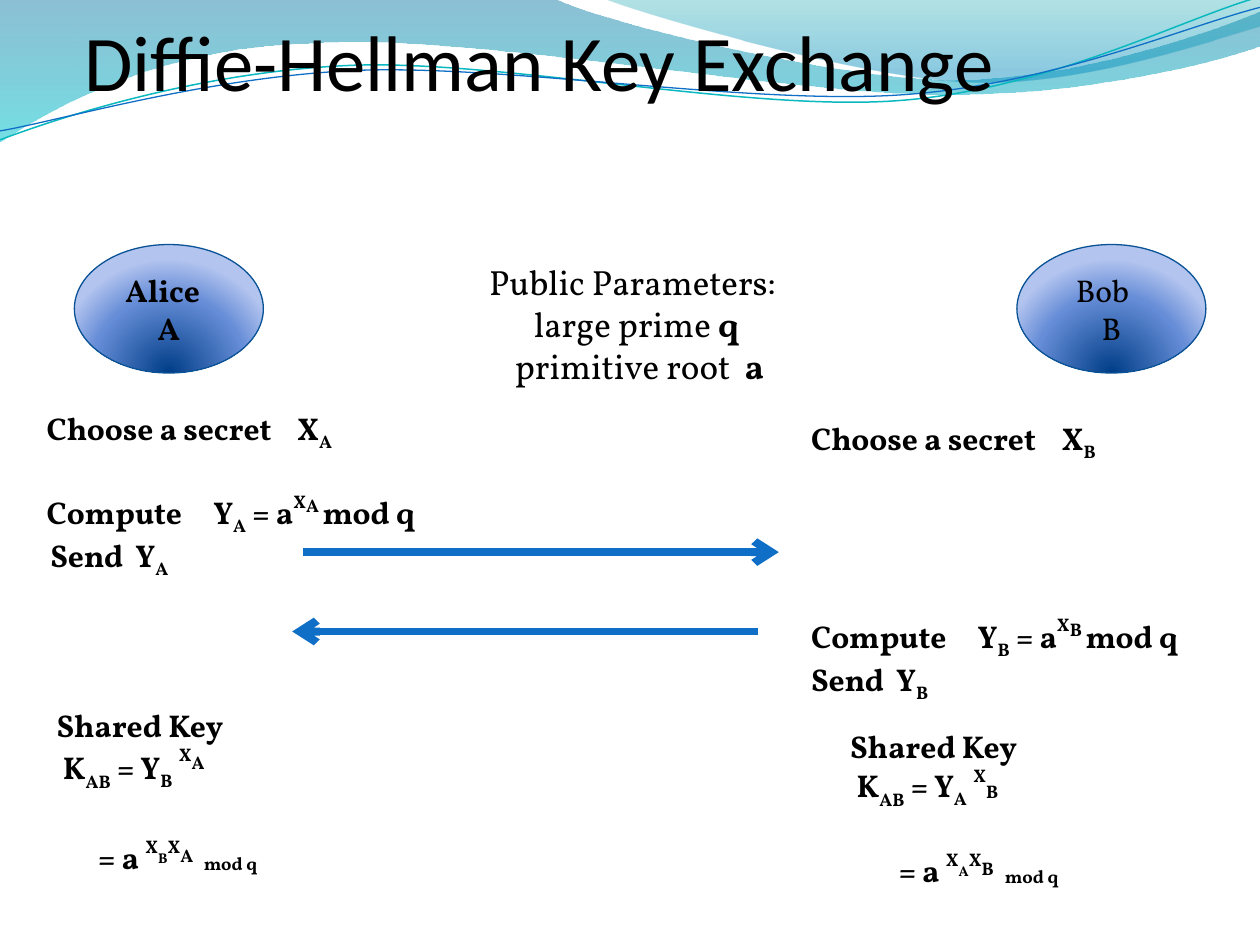
from lxml import etree
from pptx import Presentation
from pptx.dml.color import RGBColor
from pptx.enum.shapes import MSO_CONNECTOR, MSO_SHAPE
from pptx.enum.text import MSO_ANCHOR, MSO_AUTO_SIZE, PP_ALIGN
from pptx.oxml import parse_xml
from pptx.oxml.ns import qn
from pptx.util import Cm, Pt

STRAIGHT = MSO_CONNECTOR.STRAIGHT
ELLIPSE = MSO_SHAPE.OVAL
BOTTOM, MIDDLE = MSO_ANCHOR.BOTTOM, MSO_ANCHOR.MIDDLE
LEFT, CENTER = PP_ALIGN.LEFT, PP_ALIGN.CENTER
NO_FIT = MSO_AUTO_SIZE.NONE
MAIN_NS = "http://schemas.openxmlformats.org/drawingml/2006/main"
LINE_PITCH = 21.6
DOWN = '<a:lin ang="5400000" scaled="0"/>'
GLOW = ('<a:path path="circle"><a:fillToRect l="50000" t="130000" '
        'r="50000" b="-30000"/></a:path>')
BALL = [(0, "003D87", 100), (68, "668DD7", 100), (100, "B3C4EF", 100)]


def color(value):
    return RGBColor.from_string(value)


def bend(shape, segments):
    """Join each three straight steps of a six-number segment into one cubic curve."""
    steps = iter(list(shape._element.iter(qn("a:lnTo"))))
    for segment in segments:
        first = next(steps)
        if len(segment) == 6:
            curve = etree.Element(qn("a:cubicBezTo"))
            first.addprevious(curve)
            for step in (first, next(steps), next(steps)):
                curve.append(step[0])
                step.getparent().remove(step)


def set_right_indent(para, indent):
    para._p.get_or_add_pPr().set("marR", str(Cm(indent)))


class SlideBuilder:
    """Holds the style and the current slide."""

    text_font = "Vollkorn"
    title_font = "Calibri"
    ink = "000000"
    accent = "0F6FC6"

    def __init__(self, page):
        self.page = page

    def gradient(self, shape, stops, direction):
        colors = "".join(
            f'<a:gs pos="{place * 1000}"><a:srgbClr val="{value}">'
            f'<a:alpha val="{alpha * 1000}"/></a:srgbClr></a:gs>'
            for place, value, alpha in stops)
        shape.fill.background()
        properties = shape._element.spPr
        properties.replace(properties.find(qn("a:noFill")), parse_xml(
            f'<a:gradFill xmlns:a="{MAIN_NS}" rotWithShape="1">'
            f'<a:gsLst>{colors}</a:gsLst>{direction}</a:gradFill>'))

    def outline(self, shape, value, width):
        shape.line.color.rgb = color(value)
        shape.line.width = Pt(width)

    def wave(self, start, segments, stops=None, line=None):
        points = [(Cm(segment[i]), Cm(segment[i + 1]))
                  for segment in segments for i in range(0, len(segment), 2)]
        builder = self.page.shapes.build_freeform(Cm(start[0]), Cm(start[1]))
        builder.add_line_segments(points, close=stops is not None)
        shape = builder.convert_to_shape()
        bend(shape, segments)
        shape.shadow.inherit = False
        if stops:
            self.gradient(shape, stops, DOWN)
            shape.line.fill.background()
        else:
            shape.fill.background()
            self.outline(shape, *line)

    def title(self, text, left, top, width, height):
        box = self.page.shapes.title
        box._element.getparent().append(box._element)
        box.left, box.top, box.width, box.height = map(Cm, (left, top, width, height))
        frame = box.text_frame
        frame.text = text
        frame.auto_size = NO_FIT
        frame.vertical_anchor = BOTTOM
        frame.margin_left = frame.margin_right = frame.margin_bottom = 0
        para = frame.paragraphs[0]
        para.alignment = LEFT
        self.style(para.runs[0], 45, False, self.title_font)

    def style(self, span, size, bold, font=None):
        span.font.name = font or self.text_font
        span.font.size = Pt(size)
        span.font.bold = bold
        span.font.color.rgb = color(self.ink)

    def ball(self, left, top, lines, bold, indent):
        shape = self.page.shapes.add_shape(ELLIPSE, Cm(left), Cm(top), Cm(3.81), Cm(2.59))
        shape.shadow.inherit = False
        self.gradient(shape, BALL, GLOW)
        self.outline(shape, "095295", 0.75)
        frame = shape.text_frame
        frame.vertical_anchor = MIDDLE
        frame.text = "\n".join(lines)
        for para, right in zip(frame.paragraphs, (indent, 0)):
            para.alignment = CENTER
            self.style(para.runs[0], 18, bold)
            set_right_indent(para, right)

    def text(self, left, top, width, height, lines, size=18, align=LEFT, tabs=(), indents=()):
        """Add a box; a line is (blank rows above, [(text, baseline, bold, size)])."""
        box = self.page.shapes.add_textbox(Cm(left), Cm(top), Cm(width), Cm(height))
        frame = box.text_frame
        frame.word_wrap = True
        for index, (gap, spans) in enumerate(lines):
            para = frame.paragraphs[0] if index == 0 else frame.add_paragraph()
            para.alignment = align
            if tabs:
                stops = etree.SubElement(para._p.get_or_add_pPr(), qn("a:tabLst"))
                for stop in tabs:
                    etree.SubElement(stops, qn("a:tab"), pos=str(Cm(stop)), algn="l")
            if gap:
                para.space_before = Pt(gap * LINE_PITCH)
            for text, baseline, bold, *own_size in spans:
                span = para.add_run()
                span.text = text
                self.style(span, own_size[0] if own_size else size, bold)
                if baseline:
                    span._r.get_or_add_rPr().set("baseline", str(baseline * 1000))
        for para, indent in zip(frame.paragraphs, indents):
            set_right_indent(para, indent)

    def arrow(self, start, end, y):
        line = self.page.shapes.add_connector(STRAIGHT, Cm(start), Cm(y), Cm(end), Cm(y))
        self.outline(line, self.accent, 4.5)
        etree.SubElement(line.line._get_or_add_ln(), qn("a:tailEnd"), type="arrow")
        etree.SubElement(line._element.spPr, qn("a:effectLst"))


def bold_line(gap, *spans):
    return gap, [(text, baseline, True, *size) for text, baseline, *size in spans]


def exchange(party, gap, power, *lead):
    return [
        bold_line(0, ("Choose a secret\tX", 0), (party, -25)),
        bold_line(gap, ("Compute\tY", 0), (party, -25), (" = a", 0), ("X", power),
                  (party + " ", 40), ("mod q", 0)),
        bold_line(0, *lead, ("Send  Y", 0), (party, -25)),
    ]


def shared_key(own, other, power, own_base, gap):
    return [
        bold_line(0, ("Shared Key", 0)),
        bold_line(0, (" K", 0), ("AB", -30), (" = Y", 0), (other, -25), (" ", 0),
                  ("X", power), (own, own_base)),
        bold_line(gap, ("\t= a ", 0), ("X", 50), (other, 22, 14), ("X", 50),
                  (own, 22), ("\tmod q", -4)),
    ]


def main():
    deck = Presentation()
    deck.slide_width, deck.slide_height = Cm(25.4), Cm(19.05)
    slide = SlideBuilder(deck.slides.add_slide(deck.slide_layouts[5]))

    slide.wave((0, 0), [
        (11.18, -0.03), (12.09, 0.43, 16.87, 1.6, 19.25, 1.6),
        (21.67, 1.6, 24.33, 0.66, 25.4, 0.23), (25.43, 0.91),
        (24.97, 1.12, 22.1, 1.93, 18.95, 1.9), (15.8, 1.9, 9.7, 0.71, 6.53, 0.86),
        (3.25, 0.91, 1.17, 2.11, -0.03, 2.87),
    ], stops=[(0, "0074A1", 45), (100, "00C6CF", 55)])
    slide.wave((12.17, -0.03), [
        (12.93, 0.28, 17.32, 1.57, 19.53, 1.65),
        (21.74, 1.75, 24.41, 0.81, 25.4, 0.53), (25.4, 0),
    ], stops=[(0, "00A1A9", 30), (80, "008BBF", 45)])
    slide.wave((0, 2.82), [
        (1.22, 2.36, 4.01, 1.45, 7.04, 1.32), (10.03, 1.19, 15.06, 2.26, 18.11, 2.03),
        (21.16, 1.8, 23.83, 0.38, 25.35, -0.05),
    ], line=("0AB8BF", 0.85))
    slide.wave((0, 2.64), [
        (1.19, 2.44, 4.17, 1.55, 7.19, 1.42), (10.24, 1.3, 15.16, 2.13, 18.21, 1.91),
        (21.23, 1.7, 23.9, 0.53, 25.4, 0.15),
    ], line=(slide.accent, 0.75))

    slide.title("Diffie-Hellman Key Exchange", 1.7, 0, 22.86, 2.16)
    slide.ball(20.5, 4.93, ["Bob", "B"], False, 0.36)
    slide.ball(1.5, 4.93, ["Alice", "A"], True, 0.25)
    slide.text(7.29, 5.13, 11.2, 2.82, [
        (0, [("Public Parameters:", 0, False)]),
        (0, [("large prime ", 0, False), ("q", 0, True)]),
        (0, [("primitive root  ", 0, False), ("a", 0, True)]),
    ], size=20, align=CENTER, indents=(0.27, 0.12, 0))

    steps = (3.36, 5.05)
    slide.text(0.69, 8.13, 9.19, 3.86, exchange("A", 1, 52, (" ", -25)), tabs=steps)
    slide.arrow(6.1, 15.7, 11.13)
    slide.text(16.1, 8.33, 9.4, 6.15, exchange("B", 4, 54), tabs=steps)
    slide.arrow(15.29, 5.89, 12.73)
    slide.text(0.89, 14.1, 7.7, 3.58, shared_key("A", "B", 56, 32, 1.13), tabs=(0.84, 2.97))
    slide.text(16.89, 14.53, 7.7, 4.11, shared_key("B", "A", 46, -4, 1), tabs=(0.98, 3.12))
    deck.save("out.pptx")


if __name__ == "__main__":
    main()
